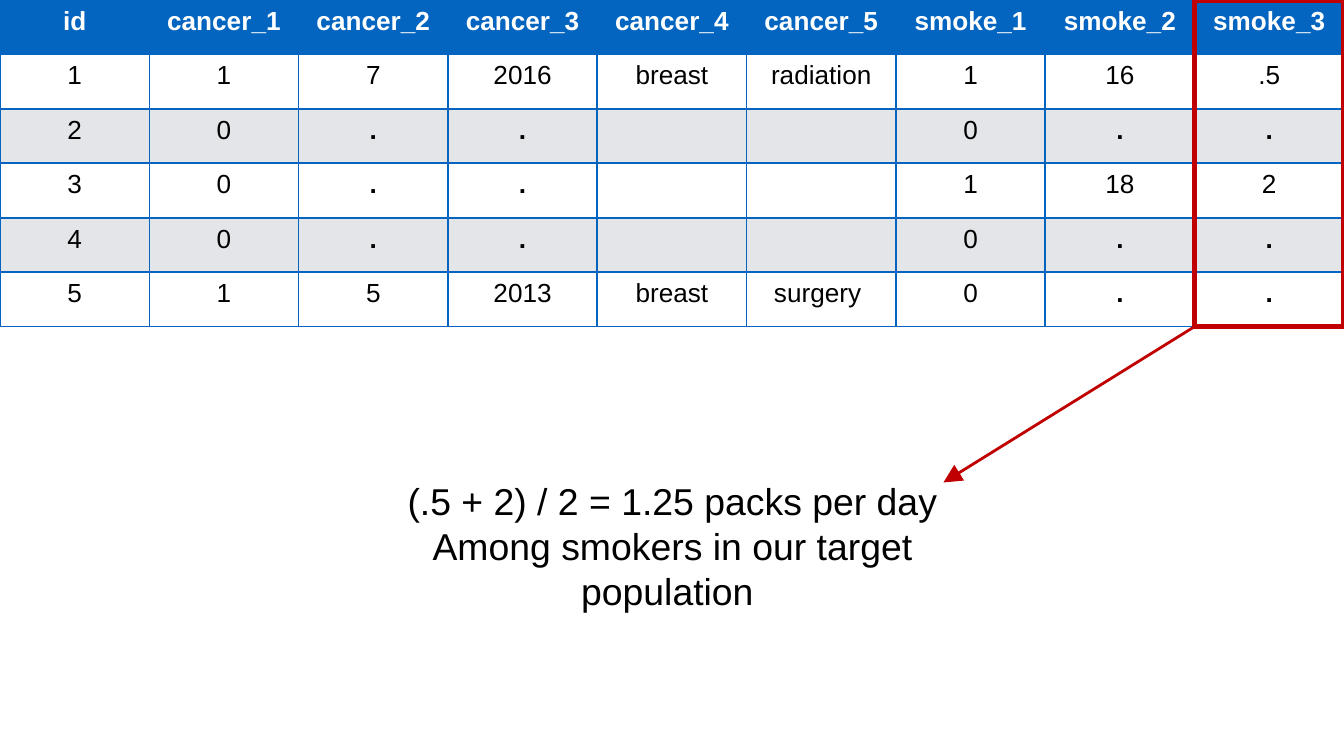
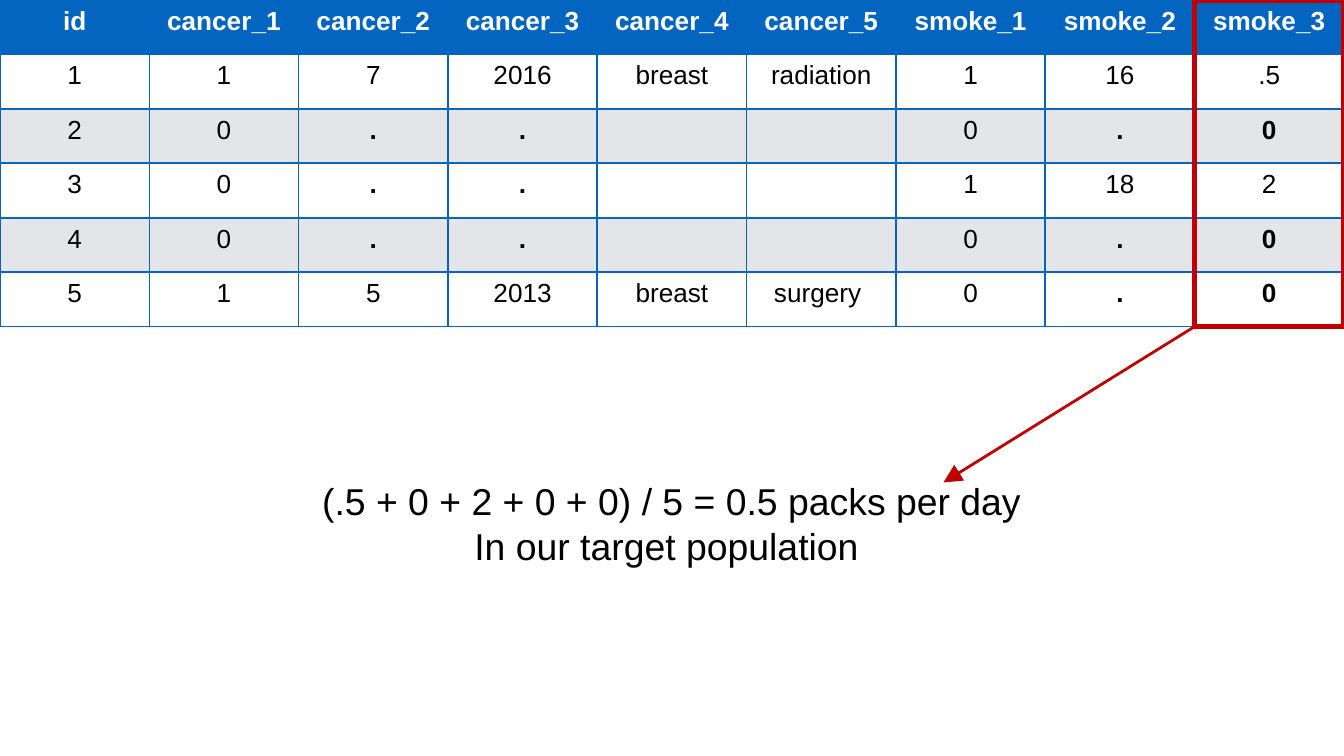
from pptx import Presentation
from pptx.dml.color import RGBColor
from pptx.enum.shapes import MSO_CONNECTOR as Connector, MSO_SHAPE as Shape
from pptx.enum.text import MSO_AUTO_SIZE as AutoSize, PP_ALIGN as Align
from pptx.oxml.ns import qn
from pptx.util import Inches, Pt
from lxml.etree import SubElement

COLORS = {
    "blue": "0365C0",
    "white": "FFFFFF",
    "band": "E3E5E8",
    "black": "000000",
    "red": "C00000",
}
FONT = "Arial"
SLIDE_W = 10
SLIDE_H = SLIDE_W * 9 / 16
TABLE_BOX = (0, 0, SLIDE_W, 2.43)
ARROW_TIP = (7.02, 3.59)

HEADER = ["id", *(f"cancer_{n}" for n in range(1, 6)), *(f"smoke_{n}" for n in range(1, 4))]
PATIENTS = [
    ["1", "1", "7", "2016", "breast", "radiation", "1", "16", ".5"],
    ["2", "0", ".", ".", "", "", "0", ".", "."],
    ["3", "0", ".", ".", "", "", "1", "18", "2"],
    ["4", "0", ".", ".", "", "", "0", ".", "."],
    ["5", "1", "5", "2013", "breast", "surgery ", "0", ".", "."],
]
SLIDES = [
    {
        "missing_packs": ".",
        "box": (2.47, 3.51, 5.07, 1.11),
        "lines": ["(.5 + 2) / 2 = 1.25 packs per day", "Among smokers in our target population "],
    },
    {
        "missing_packs": "0",
        "box": (2.25, 3.51, 5.5, 0.77),
        "lines": ["(.5 + 0 + 2 + 0 + 0) / 5 = 0.5 packs per day", "In our target population "],
    },
]


def rgb(name):
    return RGBColor.from_string(COLORS[name])


def add_centred_run(paragraph, text, size, color="black", bold=False):
    paragraph.alignment = Align.CENTER
    run = paragraph.add_run()
    run.text = text
    run.font.name = FONT
    run.font.size = Pt(size)
    run.font.bold = bold
    run.font.color.rgb = rgb(color)


def set_borders(cell, color, width):
    properties = cell._tc.get_or_add_tcPr()
    for side in ("a:lnL", "a:lnR", "a:lnT", "a:lnB"):
        border = SubElement(properties, qn(side), w=str(Pt(width)))
        SubElement(SubElement(border, qn("a:solidFill")), qn("a:srgbClr"), val=COLORS[color])


def fill_cell(cell, text, fill, color="black", bold=False):
    set_borders(cell, "blue", 1)
    cell.fill.solid()
    cell.fill.fore_color.rgb = rgb(fill)
    if text:
        add_centred_run(cell.text_frame.paragraphs[0], text, 14, color, bold)


def add_patient_table(slide, box, missing_packs):
    width, height = box[2:]
    table = slide.shapes.add_table(
        len(PATIENTS) + 1, len(HEADER), *(Inches(v) for v in box)
    ).table
    for column in table.columns:
        column.width = Inches(width / len(HEADER))
    for row in table.rows:
        row.height = Inches(height / (len(PATIENTS) + 1))

    for cell, heading in zip(table.rows[0].cells, HEADER):
        fill_cell(cell, heading, "blue", "white", True)
    last = len(HEADER) - 1
    for r, patient in enumerate(PATIENTS, start=1):
        fill = "white" if r % 2 else "band"
        for c, value in enumerate(patient):
            missing = value == "."
            shown = missing_packs if missing and c == last else value
            fill_cell(table.cell(r, c), shown, fill, bold=missing)


def add_packs_highlight(slide, table_box, tip):
    left, top, width, height = table_box
    column_w = width / len(HEADER)
    column_left, bottom = left + width - column_w, top + height

    frame = slide.shapes.add_shape(
        Shape.RECTANGLE, Inches(column_left), Inches(top), Inches(column_w), Inches(height)
    )
    frame.shadow.inherit = False
    frame.fill.background()
    frame.line.color.rgb = rgb("red")
    frame.line.width = Pt(3)

    arrow = slide.shapes.add_connector(
        Connector.STRAIGHT, Inches(column_left), Inches(bottom), *(Inches(v) for v in tip)
    )
    arrow.line.color.rgb = rgb("red")
    arrow.line.width = Pt(1.5)
    SubElement(arrow.line._get_or_add_ln(), qn("a:tailEnd"), type="triangle", w="lg", len="lg")
    SubElement(arrow._element.spPr, qn("a:effectLst"))


def add_calculation(slide, box, lines):
    frame = slide.shapes.add_textbox(*(Inches(v) for v in box)).text_frame
    frame.word_wrap = True
    frame.auto_size = AutoSize.SHAPE_TO_FIT_TEXT
    for i, line in enumerate(lines):
        paragraph = frame.add_paragraph() if i else frame.paragraphs[0]
        add_centred_run(paragraph, line, 20)


def add_mean_slide(deck, content):
    slide = deck.slides.add_slide(deck.slide_layouts[6])
    add_patient_table(slide, TABLE_BOX, content["missing_packs"])
    add_calculation(slide, content["box"], content["lines"])
    add_packs_highlight(slide, TABLE_BOX, ARROW_TIP)


def main():
    deck = Presentation()
    deck.slide_width, deck.slide_height = Inches(SLIDE_W), Inches(SLIDE_H)
    for content in SLIDES:
        add_mean_slide(deck, content)
    deck.save("out.pptx")


if __name__ == "__main__":
    main()
